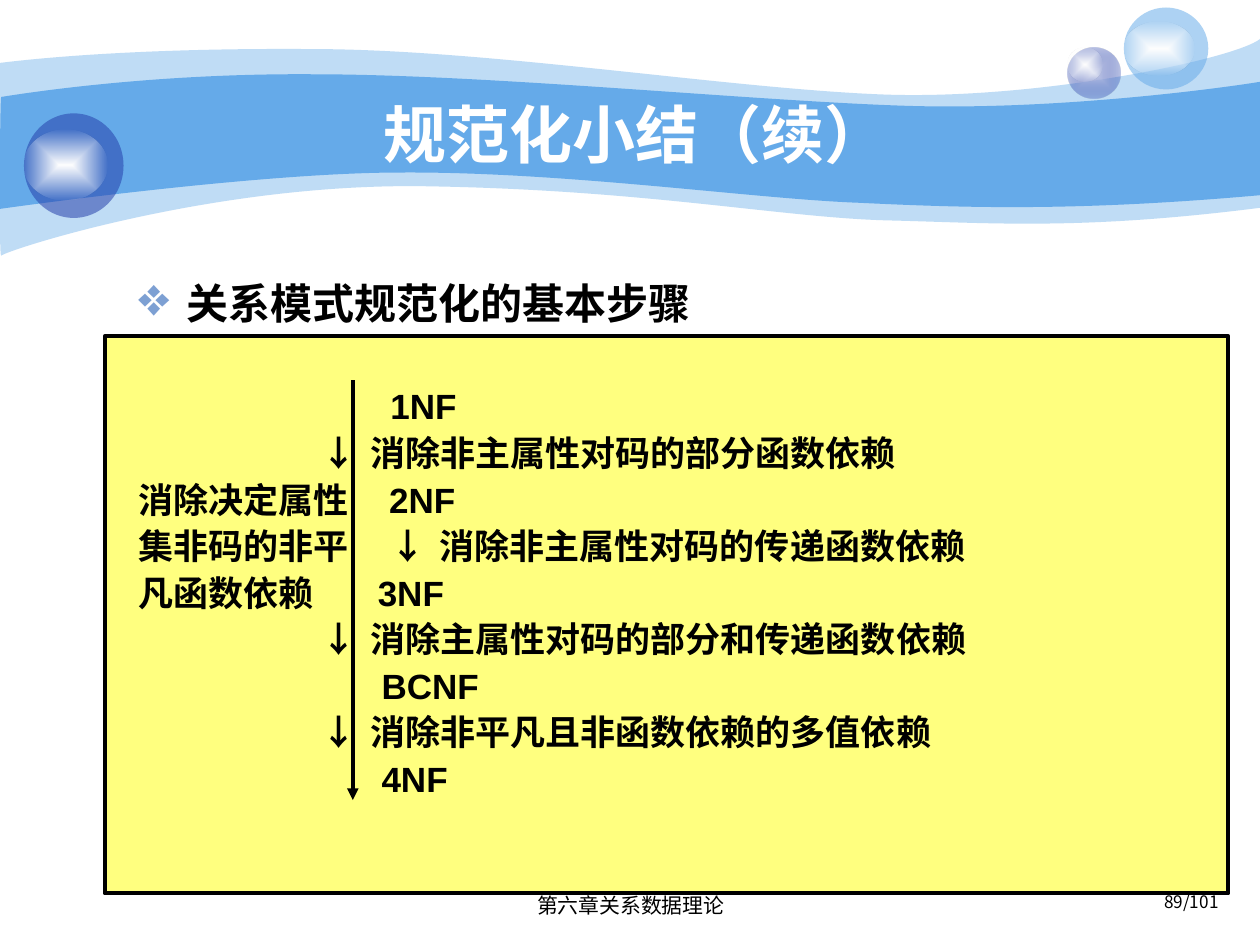
from typing import NamedTuple

import pptx
import pptx.dml.color
import pptx.enum.shapes
import pptx.enum.text
import pptx.oxml
import pptx.oxml.ns
import pptx.util
from lxml import etree

# The slide is a grid of 10 columns by 7.5 rows; all places are in cells.
CELL = pptx.util.Inches(1)
COLS, ROWS = 10, 7.5
NS = 'xmlns:a="http://schemas.openxmlformats.org/drawingml/2006/main"'
SHAPE = pptx.enum.shapes.MSO_SHAPE
ALIGN = pptx.enum.text.PP_ALIGN
BLUE, NAVY, WHITE, BLACK = "65AAE9", "233DA9", "FFFFFF", "000000"


class Box(NamedTuple):
    col: float
    row: float
    wide: float
    high: float

    def emu(self) -> list[int]:
        return [round(v * CELL) for v in self]


class Paint(NamedTuple):
    """A fill; with a mid colour it runs from the centre out to the hue."""
    hue: str
    alpha: int = 100
    mid: str = ""


class Band(NamedTuple):
    """Two chains of cubic curves, joined by a straight edge to turn."""
    start: tuple
    top: list
    turn: tuple
    base: list
    paint: Paint


class Ball(NamedTuple):
    box: Box
    paint: Paint
    glow: Box


class Step(NamedTuple):
    text: str
    stop: float
    side: str = ""
    arrow: bool = False


GLOW = Paint(WHITE, 0, WHITE)
BANDS = [
    Band((0, 0.5),
         [(0.24, 0.47), (1.07, 0.38), (2.47, 0.39), (3.86, 0.39), (5.75, 0.7),
          (6.99, 0.75), (8.22, 0.8), (9.8, 0.47), (10, 0.31)],
         (10, 1.65),
         [(8.58, 1.83), (7.87, 1.77), (7.05, 1.75), (6.22, 1.73), (5.15, 1.51),
          (3.43, 1.48), (1.72, 1.44), (0.04, 1.99), (0.01, 2.03),
          (-0.01, 2.08), (0, 0.75), (0, 0.5)],
         Paint(BLUE, 41)),
    Band((0.01, 0.77),
         [(0.02, 0.77), (1.1, 0.58), (2.48, 0.59), (3.86, 0.59), (5.95, 0.8),
          (7.18, 0.84), (8.41, 0.88), (9.76, 0.69), (10, 0.65)],
         (10, 1.55),
         [(8.53, 1.68), (7.65, 1.65), (6.82, 1.61), (5.99, 1.58), (4.47, 1.36),
          (3.17, 1.37), (2.03, 1.37), (-0.02, 1.66), (-0.01, 1.66),
          (0, 1.66), (0, 0.77), (0.01, 0.77)],
         Paint(BLUE)),
]
BALLS = [
    Ball(Box(8.47, 0.38, 0.42, 0.4), Paint(NAVY, 31, "C7CEE9"),
         Box(8.47, 0.38, 0.28, 0.27)),
    Ball(Box(8.92, 0.06, 0.67, 0.65), Paint(BLUE, 53),
         Box(8.92, 0.17, 0.56, 0.43)),
    Ball(Box(0.19, 0.9, 0.79, 0.83), Paint(NAVY, 53),
         Box(0.19, 1.03, 0.66, 0.56)),
]
STEPS = [
    Step("1NF", 2),
    Step("消除非主属性对码的部分函数依赖", 1.84, arrow=True),
    Step("2NF", 1.99, "消除决定属性"),
    Step("消除非主属性对码的传递函数依赖", 2.39, "集非码的非平", True),
    Step("3NF", 1.9, "凡函数依赖"),
    Step("消除主属性对码的部分和传递函数依赖", 1.84, arrow=True),
    Step("BCNF", 1.93),
    Step("消除非平凡且非函数依赖的多值依赖", 1.84, arrow=True),
    Step("4NF", 1.93),
]
GAP = 0.39  # from an arrow to its text


def color(hue: str):
    return pptx.dml.color.RGBColor.from_string(hue)


def tint(hue: str, alpha: int) -> str:
    return f'<a:srgbClr val="{hue}"><a:alpha val="{alpha * 1000}"/></a:srgbClr>'


def fill(shape, paint: Paint) -> None:
    shape.shadow.inherit = False
    shape.line.fill.background()
    shape.fill.solid()
    old = shape.fill._xPr.find(pptx.oxml.ns.qn("a:solidFill"))
    if paint.mid:
        xml = (f'<a:gradFill {NS} rotWithShape="1"><a:gsLst>'
               f'<a:gs pos="0">{tint(paint.mid, 100)}</a:gs>'
               f'<a:gs pos="100000">{tint(paint.hue, paint.alpha)}</a:gs></a:gsLst>'
               '<a:path path="rect"><a:fillToRect l="50000" t="50000" r="50000" '
               'b="50000"/></a:path></a:gradFill>')
    else:
        xml = f'<a:solidFill {NS}>{tint(paint.hue, paint.alpha)}</a:solidFill>'
    old.getparent().replace(old, pptx.oxml.parse_xml(xml))


def bend(legs: list) -> None:
    """Turn each three straight legs of an outline into one cubic curve."""
    for a, b, c in zip(legs[::3], legs[1::3], legs[2::3]):
        cubic = etree.Element(pptx.oxml.ns.qn("a:cubicBezTo"))
        a.addprevious(cubic)
        for leg in (a, b, c):
            cubic.append(leg[0])
            leg.getparent().remove(leg)


def wave(shapes, band: Band) -> None:
    dots = [(round(x * CELL), round(y * CELL))
            for x, y in [band.start, *band.top, band.turn, *band.base]]
    pen = shapes.build_freeform(*dots[0])
    pen.add_line_segments(dots[1:], close=True)
    shape = pen.convert_to_shape()
    legs = list(shape._element.iter(pptx.oxml.ns.qn("a:lnTo")))
    size = len(band.top)
    bend(legs[:size])
    bend(legs[size + 1:size + 1 + len(band.base)])
    fill(shape, band.paint)


def solid(shapes, kind, box: Box, paint: Paint):
    shape = shapes.add_shape(kind, *box.emu())
    fill(shape, paint)
    return shape


def style(para, size: float, bold: bool = False, hue: str = BLACK,
          face: str = "Arial") -> None:
    for run in para.runs:
        run.font.name, run.font.size = face, pptx.util.Pt(size)
        run.font.bold, run.font.color.rgb = bold, color(hue)


def label(shapes, box: Box, text: str, align) -> pptx.text.text._Paragraph:
    frame = shapes.add_textbox(*box.emu()).text_frame
    frame.word_wrap = True
    frame.vertical_anchor = pptx.enum.text.MSO_ANCHOR.MIDDLE
    frame.text = text
    para = frame.paragraphs[0]
    para.alignment = align
    return para


def bullet(para, mark: str, hue: str, hang: float) -> None:
    props = para._p.get_or_add_pPr()
    props.set("marL", str(round(hang * CELL)))
    props.set("indent", str(-round(hang * CELL)))
    for xml in (f'<a:buClr {NS}><a:srgbClr val="{hue}"/></a:buClr>',
                f'<a:buSzPct {NS} val="130000"/>',
                f'<a:buChar {NS} char="{mark}"/>'):
        props.append(pptx.oxml.parse_xml(xml))


def tabs(para, stops: list[float]) -> None:
    marks = "".join(f'<a:tab pos="{round(s * CELL)}" algn="l"/>' for s in stops)
    para._p.get_or_add_pPr().append(
        pptx.oxml.parse_xml(f'<a:tabLst {NS}>{marks}</a:tabLst>'))


def body(shapes, box: Box, topic: str) -> None:
    """The topic, then the normal forms lined up on tab stops."""
    frame = shapes.add_textbox(*box.emu()).text_frame
    frame.word_wrap = True
    frame.text = topic
    first = frame.paragraphs[0]
    bullet(first, "❖", "7DA0D3", 0.38)
    first.line_spacing = pptx.util.Pt(27.6)
    style(first, 24, True)
    for i, step in enumerate(STEPS):
        para = frame.add_paragraph()
        tabs(para, [step.stop - GAP, step.stop] if step.arrow else [step.stop])
        para.text = step.side + ("\t↓\t" if step.arrow else "\t") + step.text
        para.line_spacing = pptx.util.Pt(26.6)
        para.space_before = pptx.util.Pt(0 if i else 30)
        style(para, 20, True)


def arrow(shapes, col: float, top: float, end: float) -> None:
    x, y, z = (round(v * CELL) for v in (col, top, end))
    line = shapes.add_connector(
        pptx.enum.shapes.MSO_CONNECTOR.STRAIGHT, x, y, x, z)
    line.line.color.rgb, line.line.width = color(BLACK), pptx.util.Pt(2.25)
    tip = etree.SubElement(line.line._get_or_add_ln(),
                           pptx.oxml.ns.qn("a:tailEnd"))
    tip.set("type", "triangle")
    etree.SubElement(line._element.spPr, pptx.oxml.ns.qn("a:effectLst"))


def head(slide, box: Box, text: str) -> None:
    title = slide.shapes.title
    title.left, title.top, title.width, title.height = box.emu()
    frame = title.text_frame
    frame.text = text
    frame.vertical_anchor = pptx.enum.text.MSO_ANCHOR.MIDDLE
    frame.paragraphs[0].alignment = ALIGN.CENTER
    style(frame.paragraphs[0], 36, True, WHITE)
    slide.shapes._spTree.append(title._element)  # in front of the bands


def main() -> None:
    deck = pptx.Presentation()
    deck.slide_width, deck.slide_height = round(COLS * CELL), round(ROWS * CELL)
    slide = deck.slides.add_slide(deck.slide_layouts[5])
    shapes = slide.shapes
    for band in BANDS:
        wave(shapes, band)
    for ball in BALLS:
        solid(shapes, SHAPE.OVAL, ball.box, ball.paint)
        solid(shapes, SHAPE.OVAL, ball.glow, GLOW)
    page = label(shapes, Box(7.44, 7.01, 2.33, 0.29), "89/101", ALIGN.RIGHT)
    style(page, 9.8, face="Noto Sans CJK SC")
    foot = label(shapes, Box(3.42, 7.02, 3.17, 0.32), "第六章关系数据理论", ALIGN.CENTER)
    style(foot, 11.9)
    panel = solid(shapes, SHAPE.RECTANGLE, Box(0.83, 2.67, 8.92, 4.42),
                  Paint("FFFF00", 50))
    panel.line.color.rgb, panel.line.width = color(BLACK), pptx.util.Pt(2.25)
    head(slide, Box(1, 0.75, 8.08, 0.62), "规范化小结（续）")
    body(shapes, Box(1, 2.17, 9, 4.92), "关系模式规范化的基本步骤")
    arrow(shapes, 2.8, 3.02, 6.35)
    deck.save("out.pptx")


if __name__ == "__main__":
    main()
